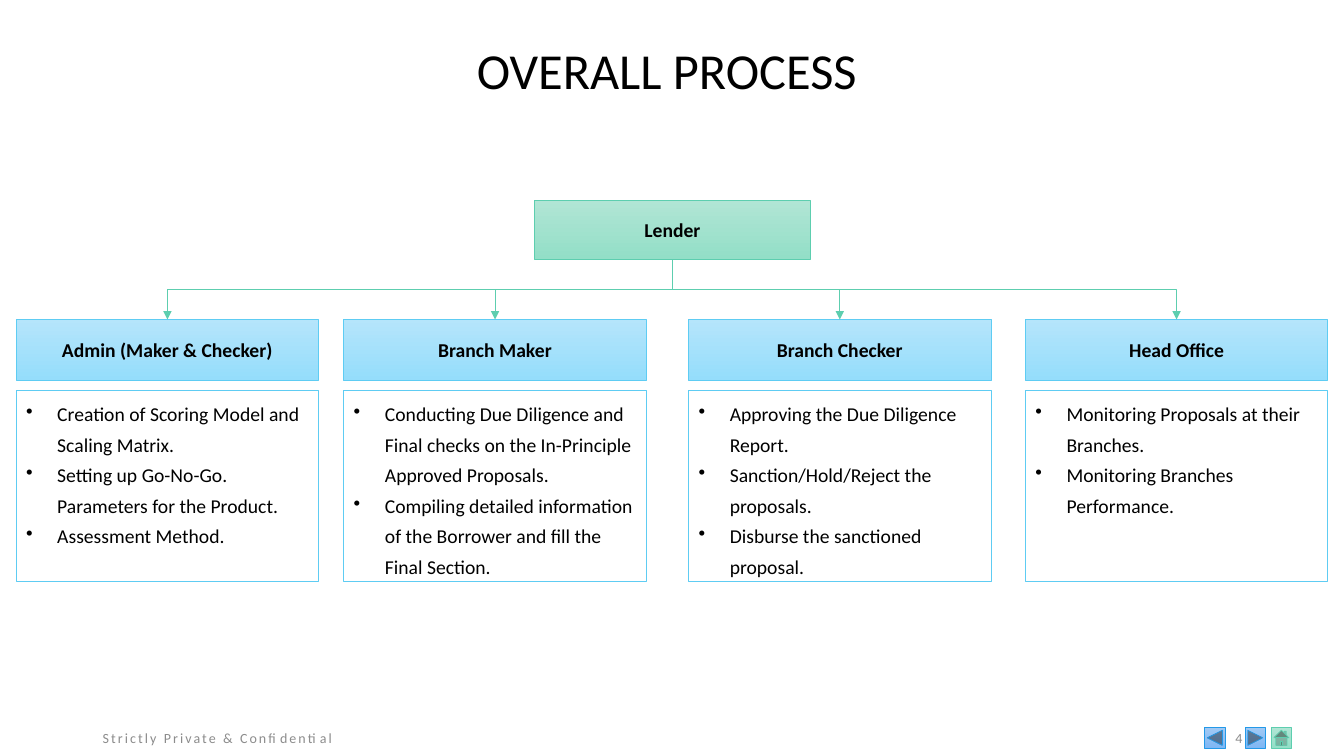
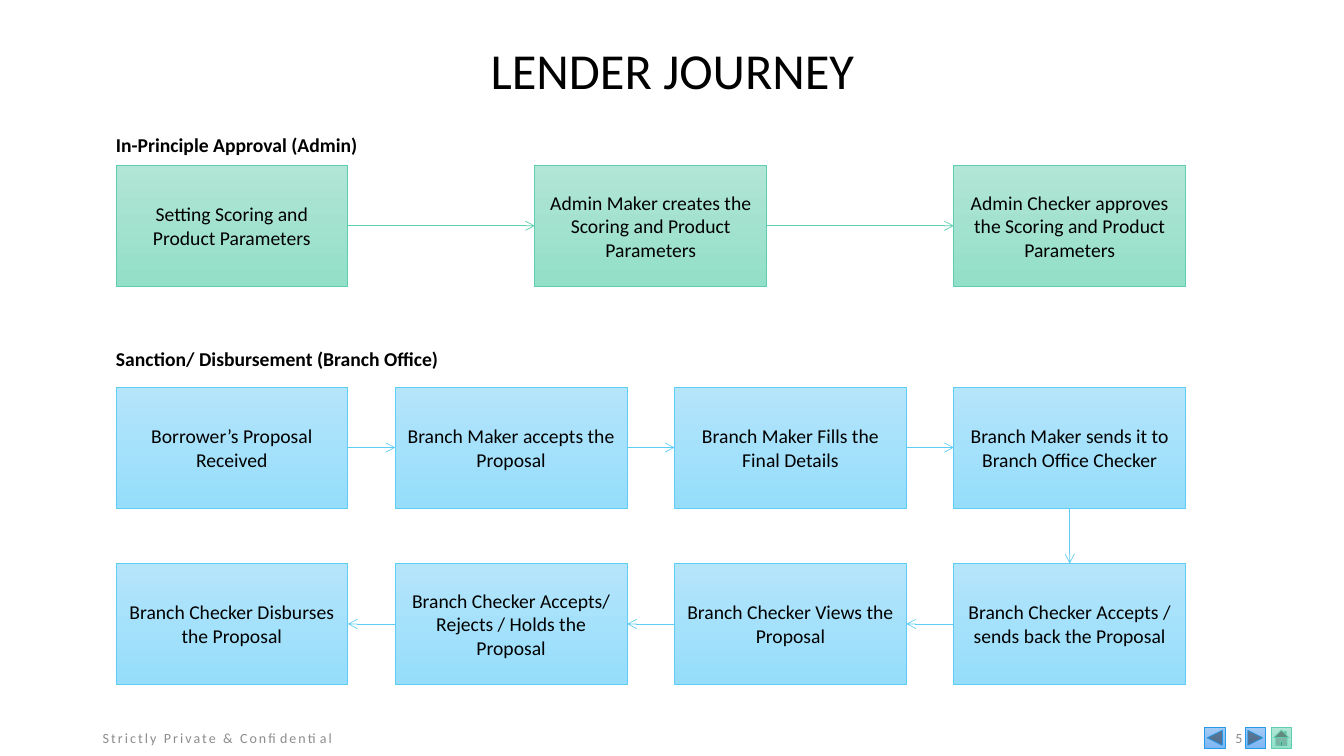
from dataclasses import dataclass
from itertools import pairwise

from lxml import etree
from pptx import Presentation
from pptx.dml.color import RGBColor
from pptx.enum.shapes import MSO_CONNECTOR, MSO_SHAPE
from pptx.enum.text import MSO_ANCHOR, PP_ALIGN
from pptx.oxml.ns import qn
from pptx.shapes.autoshape import Shape
from pptx.shapes.connector import Connector
from pptx.slide import Slide
from pptx.text.text import TextFrame
from pptx.util import Inches, Pt

RECT = MSO_SHAPE.RECTANGLE
BACK = MSO_SHAPE.ACTION_BUTTON_BACK_OR_PREVIOUS
NEXT = MSO_SHAPE.ACTION_BUTTON_FORWARD_OR_NEXT
HOME = MSO_SHAPE.ACTION_BUTTON_HOME
STRAIGHT, ELBOW = MSO_CONNECTOR.STRAIGHT, MSO_CONNECTOR.ELBOW
TOP, MIDDLE = MSO_ANCHOR.TOP, MSO_ANCHOR.MIDDLE
LEFT, CENTER, RIGHT = PP_ALIGN.LEFT, PP_ALIGN.CENTER, PP_ALIGN.RIGHT

# Connection sites of a rectangle
SITE_TOP, SITE_LEFT, SITE_BOTTOM, SITE_RIGHT = range(4)


@dataclass(frozen=True)
class Tone:
    start: str
    end: str
    line: str


@dataclass(frozen=True)
class Theme:
    font: str = "Calibri"
    ink: str = "000000"
    gray: str = "8C8C8C"
    white: str = "FFFFFF"
    green: Tone = Tone("B1E5D5", "93DFC7", "5DCEAF")
    sky: Tone = Tone("B5E5FB", "95DDFB", "5ECCF3")
    blue: Tone = Tone("A1C9F4", "7FB7F4", "2399E8")
    title: float = 36
    body: float = 14
    small: float = 10
    rule: float = 0.5


@dataclass(frozen=True)
class Box:
    x: float
    y: float
    w: float
    h: float

    def emu(self) -> tuple[int, ...]:
        return tuple(Inches(v) for v in (self.x, self.y, self.w, self.h))


@dataclass(frozen=True)
class Role:
    x: float
    name: str
    tasks: tuple[str, ...]


@dataclass(frozen=True)
class Button:
    x: float
    kind: MSO_SHAPE
    tone: Tone


THEME = Theme()

BUTTONS = (
    Button(11.95, BACK, THEME.blue),
    Button(12.35, NEXT, THEME.blue),
    Button(12.61, HOME, THEME.green),
)

ROLES = (
    Role(0.16, "Admin (Maker & Checker)", (
        "Creation of Scoring Model and Scaling Matrix.",
        "Setting up Go-No-Go. Parameters for the Product.",
        "Assessment Method.",
    )),
    Role(3.41, "Branch Maker", (
        "Conducting Due Diligence and Final checks on the In-Principle Approved Proposals.",
        "Compiling detailed information of the Borrower and fill the Final Section.",
    )),
    Role(6.83, "Branch Checker", (
        "Approving the Due Diligence Report.",
        "Sanction/Hold/Reject the proposals.",
        "Disburse the sanctioned proposal.",
    )),
    Role(10.17, "Head Office", (
        "Monitoring Proposals at their Branches.",
        "Monitoring Branches Performance.",
    )),
)

ADMIN = (
    "Setting Scoring and Product Parameters",
    "Admin Maker creates the Scoring and Product Parameters",
    "Admin Checker approves the Scoring and Product Parameters",
)
MAKER = (
    "Borrower’s Proposal Received",
    "Branch Maker accepts the Proposal",
    "Branch Maker Fills the Final Details",
    "Branch Maker sends it to Branch Office Checker",
)
CHECKER = (
    "Branch Checker Disburses the Proposal",
    "Branch Checker Accepts/ Rejects / Holds the Proposal",
    "Branch Checker Views the Proposal",
    "Branch Checker Accepts / sends back the Proposal",
)


def rgb(code: str) -> RGBColor:
    return RGBColor.from_string(code)


def write(frame: TextFrame, *lines: str, size: float = THEME.body, color: str = THEME.ink,
          bold: bool = False, align: PP_ALIGN = CENTER, anchor: MSO_ANCHOR = MIDDLE) -> None:
    frame.word_wrap = True
    frame.vertical_anchor = anchor
    frame.text = "\n".join(lines)
    for para in frame.paragraphs:
        para.alignment = align
        font = para.font
        font.name, font.size, font.bold = THEME.font, Pt(size), bold
        font.color.rgb = rgb(color)


def add_text(slide: Slide, box: Box, text: str, **style) -> TextFrame:
    frame = slide.shapes.add_textbox(*box.emu()).text_frame
    write(frame, text, **style)
    return frame


def add_shape(slide: Slide, box: Box, tone: Tone, kind: MSO_SHAPE = RECT,
              plain: bool = False) -> Shape:
    """Draw an outlined shape, white if plain, else shaded from top to bottom."""
    shape = slide.shapes.add_shape(kind, *box.emu())
    shape.shadow.inherit = False
    shape.line.color.rgb = rgb(tone.line)
    shape.line.width = Pt(THEME.rule)
    if plain:
        shape.fill.solid()
        shape.fill.fore_color.rgb = rgb(THEME.white)
    else:
        shape.fill.gradient()
        shape.fill.gradient_angle = 270
        for stop, code in zip(shape.fill.gradient_stops, (tone.start, tone.end)):
            stop.color.rgb = rgb(code)
    return shape


def add_card(slide: Slide, box: Box, tone: Tone, text: str, bold: bool = False) -> Shape:
    card = add_shape(slide, box, tone)
    write(card.text_frame, text, bold=bold)
    return card


def add_bullets(frame: TextFrame) -> None:
    indent = Inches(0.31)
    for para in frame.paragraphs:
        para.line_spacing = 1.3
        props = para._p.get_or_add_pPr()
        props.set("marL", str(indent))
        props.set("indent", str(-indent))
        mark = etree.Element(qn("a:buChar"), char="•")
        props.find(qn("a:defRPr")).addprevious(mark)


def add_link(slide: Slide, start: Shape, out: int, end: Shape, into: int, tone: Tone,
             kind: MSO_CONNECTOR = STRAIGHT, head: str = "arrow") -> Connector:
    link = slide.shapes.add_connector(kind, 0, 0, 0, 0)
    link.begin_connect(start, out)
    link.end_connect(end, into)
    link.line.color.rgb = rgb(tone.line)
    link.line.width = Pt(THEME.rule)
    etree.SubElement(link.line._get_or_add_ln(), qn("a:tailEnd"), type=head)
    etree.SubElement(link._element.spPr, qn("a:effectLst"))
    return link


def add_branch(slide: Slide, start: Shape, end: Shape, tone: Tone) -> None:
    """Link the foot of one shape to the top of another: down, across, down."""
    link = add_link(slide, start, SITE_BOTTOM, end, SITE_TOP, tone, ELBOW, "triangle")
    mid_x = (link.begin_x + link.end_x) // 2
    mid_y = (link.begin_y + link.end_y) // 2
    right = link.end_x > link.begin_x
    # A quarter turn makes the elbow leave downwards, so the sides swap
    link.width, link.height = link.height, link.width
    link.left, link.top = mid_x - link.width // 2, mid_y - link.height // 2
    frame = link._element.spPr.xfrm
    frame.flipH = right
    frame.set("rot", str((270 if right else 90) * 60000))


def add_row(slide: Slide, top: float, tone: Tone, steps: tuple[str, ...],
            back: bool = False) -> list[Shape]:
    """Spread cards evenly and link them rightwards, or leftwards if back."""
    first, last = 1.15, 9.46
    gap = (last - first) / (len(steps) - 1)
    cards = [add_card(slide, Box(first + i * gap, top, 2.3, 1.2), tone, step)
             for i, step in enumerate(steps)]
    for one, two in pairwise(cards):
        if back:
            add_link(slide, two, SITE_LEFT, one, SITE_RIGHT, tone)
        else:
            add_link(slide, one, SITE_RIGHT, two, SITE_LEFT, tone)
    return cards


def add_label(slide: Slide, top: float, text: str) -> None:
    frame = add_text(slide, Box(1.15, top, 5.16, 0.36), text,
                     bold=True, align=LEFT, anchor=TOP)
    frame.margin_left = frame.margin_right = 0


def add_slide(deck: Presentation, title: str, page: int) -> Slide:
    """Add a blank slide with the shared title, footer and buttons."""
    slide = deck.slides.add_slide(deck.slide_layouts[6])
    head = add_text(slide, Box(0.92, 0, 11.5, 1.45), title, size=THEME.title)
    head.paragraphs[0].line_spacing = 0.9
    notes = (
        (Box(0.92, 7.12, 3.5, 0.4), "Strictly Private & Confidential", LEFT),
        (Box(9.42, 7.12, 3, 0.4), str(page), RIGHT),
    )
    for box, text, align in notes:
        frame = add_text(slide, box, text, size=THEME.small, color=THEME.gray, align=align)
        frame.paragraphs[0].runs[0].font._element.set("spc", "150")
    for button in BUTTONS:
        add_shape(slide, Box(button.x, 7.22, 0.2, 0.2), button.tone, button.kind)
    return slide


def add_process(deck: Presentation) -> None:
    slide = add_slide(deck, "OVERALL PROCESS ", 4)
    lender = add_card(slide, Box(5.3, 1.99, 2.74, 0.58), THEME.green, "Lender", bold=True)
    for role in ROLES:
        name = add_card(slide, Box(role.x, 3.17, 3, 0.6), THEME.sky, role.name, bold=True)
        panel = add_shape(slide, Box(role.x, 3.87, 3, 1.9), THEME.sky, plain=True)
        write(panel.text_frame, *role.tasks, align=LEFT, anchor=TOP)
        add_bullets(panel.text_frame)
        add_branch(slide, lender, name, THEME.green)


def add_journey(deck: Presentation) -> None:
    slide = add_slide(deck, "LENDER JOURNEY", 5)
    add_label(slide, 1.27, "In-Principle Approval (Admin)")
    add_row(slide, 1.64, THEME.green, ADMIN)
    add_label(slide, 3.39, "Sanction/ Disbursement (Branch Office)")
    maker = add_row(slide, 3.84, THEME.sky, MAKER)
    checker = add_row(slide, 5.59, THEME.sky, CHECKER, back=True)
    add_link(slide, maker[-1], SITE_BOTTOM, checker[-1], SITE_TOP, THEME.sky)


def main() -> None:
    deck = Presentation()
    deck.slide_width, deck.slide_height = Inches(13.33), Inches(7.5)
    add_process(deck)
    add_journey(deck)
    deck.save("out.pptx")


if __name__ == "__main__":
    main()
